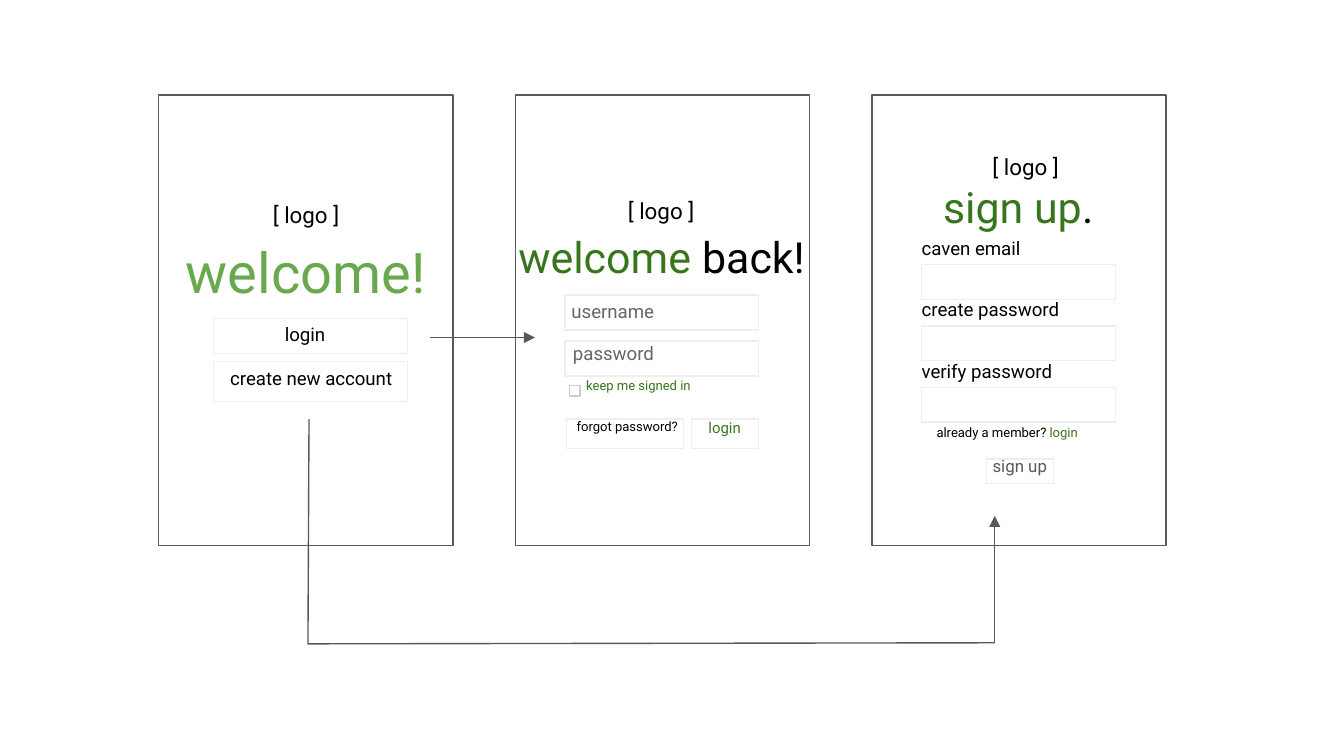
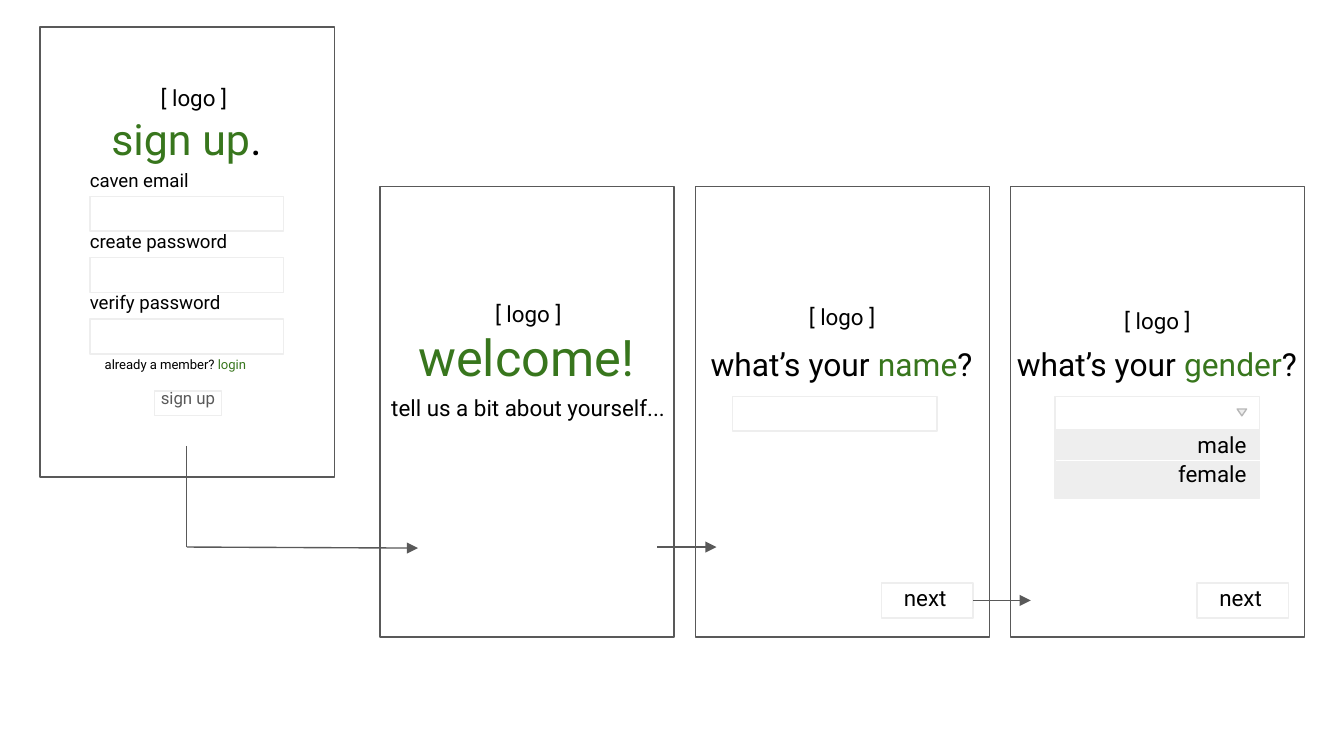
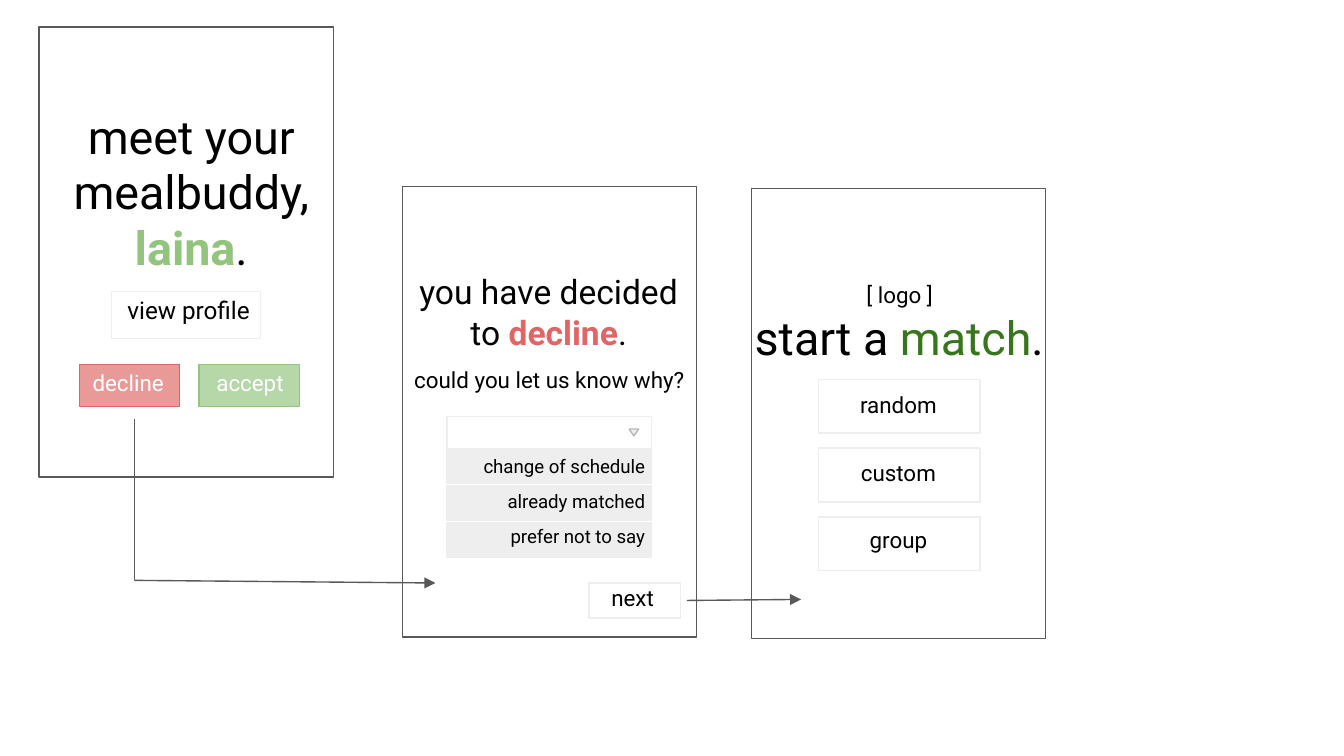
from dataclasses import dataclass

from lxml import etree
from pptx import Presentation
from pptx.dml.color import RGBColor
from pptx.enum.shapes import MSO_CONNECTOR, MSO_SHAPE
from pptx.enum.text import MSO_ANCHOR, MSO_AUTO_SIZE, PP_ALIGN
from pptx.oxml.ns import qn
from pptx.util import Cm, Pt

RECTANGLE = MSO_SHAPE.RECTANGLE
TRIANGLE = MSO_SHAPE.ISOSCELES_TRIANGLE
STRAIGHT = MSO_CONNECTOR.STRAIGHT
LEFT, CENTER, RIGHT = PP_ALIGN.LEFT, PP_ALIGN.CENTER, PP_ALIGN.RIGHT
TOP = MSO_ANCHOR.TOP
GROW = MSO_AUTO_SIZE.SHAPE_TO_FIT_TEXT

FONT = "Roboto"
BLACK, WHITE = "000000", "FFFFFF"
DARK_GRAY, GRAY, PALE = "595959", "666666", "EEEEEE"
CHECK_GRAY, MARK_GRAY = "CCCCCC", "B7B7B7"
GREEN, LEAF, SOFT_GREEN, PALE_GREEN = "38761D", "6AA84F", "93C47D", "B6D7A8"
RED, PALE_RED = "E06666", "EA9999"

SCREEN_WIDTH, SCREEN_HEIGHT = 5.56, 8.51
FIELD_WIDTH, FIELD_HEIGHT = 3.66, 0.66
MENU_LEFT, MENU_WIDTH = 0.84, 3.86
LINE_WIDTH = Pt(0.75)


def color(code):
    return RGBColor.from_string(code)


@dataclass
class Screen:
    page: object
    left: float
    top: float

    def box(self, left, top, width, height, fill=WHITE, line=PALE, kind=RECTANGLE):
        shape = self.page.shapes.add_shape(
            kind, Cm(self.left + left), Cm(self.top + top), Cm(width), Cm(height))
        shape.shadow.inherit = False
        if fill:
            shape.fill.solid()
            shape.fill.fore_color.rgb = color(fill)
        else:
            shape.fill.background()
        shape.line.color.rgb = color(line)
        shape.line.width = LINE_WIDTH
        return shape

    def text(self, left, top, width, height, size, *lines, ink=BLACK, align=CENTER):
        label = self.page.shapes.add_textbox(
            Cm(self.left + left), Cm(self.top + top), Cm(width), Cm(height))
        frame = label.text_frame
        frame.word_wrap = True
        frame.auto_size = GROW
        frame.vertical_anchor = TOP
        frame.margin_left = frame.margin_right = Cm(0.25)
        frame.margin_top = frame.margin_bottom = Cm(0.25)
        for index, line in enumerate(lines):
            para = frame.add_paragraph() if index else frame.paragraphs[0]
            para.alignment = align
            para.font.name = FONT
            para.font.size = Pt(size)
            if isinstance(line, str):
                para.font.color.rgb = color(ink)
                para.add_run().text = line
                continue
            for words, tint, bold in line:
                span = para.add_run()
                span.text = words
                span.font.color.rgb = color(tint)
                span.font.bold = bold

    def logo(self, left, top):
        self.text(left, top, 2.21, 1.02, 12, "[ logo ]")


def plain(words, tint=BLACK):
    return words, tint, False


def strong(words, tint):
    return words, tint, True


def add_screen(page, left, top):
    screen = Screen(page, left, top)
    screen.box(0, 0, SCREEN_WIDTH, SCREEN_HEIGHT, line=DARK_GRAY)
    return screen


def add_line(page, start, end, arrow=False, ink=DARK_GRAY):
    connector = page.shapes.add_connector(STRAIGHT, *map(Cm, start + end))
    connector.line.color.rgb = color(ink)
    connector.line.width = LINE_WIDTH
    properties = connector._element.spPr
    if arrow:
        outline = properties.find(qn("a:ln"))
        etree.SubElement(outline, qn("a:tailEnd"), type="triangle")
    etree.SubElement(properties, qn("a:effectLst"))
    return connector


def add_route(page, *points):
    last = len(points) - 2
    for index, (start, end) in enumerate(zip(points, points[1:])):
        add_line(page, start, end, arrow=index == last)


def next_button(screen):
    button = screen.box(3.52, 7.49, 1.73, FIELD_HEIGHT)
    screen.text(2.99, 7.26, 2.01, 1.02, 12, "next", align=RIGHT)
    return button


def dropdown(screen, top, options, size, row_start, row_step, text_start, text_step,
             text_right):
    screen.box(MENU_LEFT, top, MENU_WIDTH, FIELD_HEIGHT)
    screen.box(4.28, top + 0.24, 0.18, 0.13, PALE, MARK_GRAY, TRIANGLE).rotation = 180
    for index in range(len(options)):
        screen.box(MENU_LEFT, top + row_start + index * row_step,
                   MENU_WIDTH, FIELD_HEIGHT, fill=PALE)
    for index, option in enumerate(options):
        screen.text(text_right - 4.01, top + text_start + index * text_step,
                    4.01, 0.94, size, option, align=RIGHT)


def welcome_screen(page, left, top):
    screen = add_screen(page, left, top)
    screen.logo(1.68, 1.75)
    screen.text(0.2, 2.44, 5.16, 1.8, 30, "welcome!", ink=LEAF)
    screen.box(1.04, 4.22, FIELD_WIDTH, FIELD_HEIGHT)
    screen.box(1.04, 5.03, FIELD_WIDTH, 0.76)
    screen.text(0.3, 4.93, 5.16, 0.94, 10, "create new account")
    screen.text(2.03, 4.09, 1.47, 0.94, 10, "login")


def login_screen(page, left, top):
    screen = add_screen(page, left, top)
    screen.logo(1.65, 1.68)
    screen.text(-0.36, 2.31, 6.25, 1.5, 23, [plain("welcome", GREEN), plain(" back!")])
    for field_top in (3.78, 4.65):
        screen.box(0.94, field_top, FIELD_WIDTH, FIELD_HEIGHT)
    screen.text(0.81, 3.66, 2.92, 0.94, 10, "username", ink=GRAY, align=LEFT)
    screen.text(0.84, 4.45, 2.92, 0.94, 10, "password", ink=GRAY, align=LEFT)
    screen.box(1.02, 5.49, 0.2, 0.2, line=CHECK_GRAY)
    screen.text(1.09, 5.18, 2.79, 0.81, 7, "keep me signed in", ink=GREEN, align=LEFT)
    screen.box(3.33, 6.12, 1.27, 0.56)
    screen.box(0.97, 6.12, 2.21, 0.56)
    screen.text(0.91, 5.97, 2.92, 0.81, 7, "forgot password?", align=LEFT)
    screen.text(3.4, 5.94, 1.37, 0.86, 8, "login", ink=GREEN, align=LEFT)


def sign_up_screen(page, left, top):
    screen = add_screen(page, left, top)
    screen.logo(1.8, 0.84)
    screen.text(-0.36, 1.37, 6.25, 1.5, 23, [plain("sign up", GREEN), plain(".")])
    for index, name in enumerate(("caven email", "create password", "verify password")):
        offset = index * 1.16
        screen.box(0.94, 3.2 + offset, FIELD_WIDTH, FIELD_HEIGHT)
        screen.text(0.69, 2.46 + offset, 3.33, 0.94, 10, name, align=LEFT)
    screen.box(2.16, 6.88, 1.27, 0.46)
    screen.text(2.03, 6.63, 2.21, 0.89, 9, "sign up", ink=DARK_GRAY, align=LEFT)
    screen.text(0.97, 6.07, 3.66, 0.81, 7,
                [plain("already a member? "), plain("login", GREEN)], align=LEFT)


def about_screen(page, left, top):
    screen = add_screen(page, left, top)
    screen.logo(1.7, 1.9)
    screen.text(-0.36, 2.39, 6.25, 1.68, 27, "welcome!", ink=GREEN)
    screen.text(-0.66, 3.68, 6.93, 1.02, 12, "tell us a bit about yourself...")


def question_screen(page, left, top, topic, logo_top):
    screen = add_screen(page, left, top)
    screen.logo(1.67, logo_top)
    screen.text(-1.03, 2.73, 7.59, 1.24, 17,
                [plain("what’s your "), plain(topic, GREEN), plain("?")])
    return screen


def name_screen(page, left, top):
    screen = question_screen(page, left, top, "name", 1.96)
    screen.box(0.71, 3.96, MENU_WIDTH, FIELD_HEIGHT)
    return next_button(screen)


def gender_screen(page, left, top):
    screen = question_screen(page, left, top, "gender", 2.03)
    dropdown(screen, 3.96, ("male", "female"), 12, 0.64, 0.63, 0.41, 0.54, 4.71)
    divider = top + 5.18
    add_line(page, (left + 0.86, divider), (left + 4.72, divider), ink=WHITE)
    next_button(screen)


def meet_screen(page, left, top):
    screen = add_screen(page, left, top)
    screen.text(-0.25, 1.27, 6.25, 3.71, 25, "meet your mealbuddy,",
                [strong("laina", SOFT_GREEN), plain(".")])
    screen.text(1.42, 4.83, 2.9, 1.07, 13, "view profile", align=LEFT)
    screen.box(1.37, 5, 2.82, 0.89, fill=None, line="EFEFEF")
    for answer, box_left, text_left, fill, line in (
            ("accept", 3.02, 3.1, PALE_GREEN, SOFT_GREEN),
            ("decline", 0.76, 0.76, PALE_RED, RED)):
        screen.box(box_left, 6.38, 1.9, 0.79, fill, line)
        screen.text(text_left, 6.22, 2.9, 1.02, 12, answer, ink=WHITE, align=LEFT)


def decline_screen(page, left, top):
    screen = add_screen(page, left, top)
    screen.text(-0.25, 1.35, 6.02, 2.06, 18,
                [plain("you have decided to "), strong("decline", RED), plain(".")])
    screen.text(-0.69, 3.15, 6.93, 1.02, 12, "could you let us know why?")
    reasons = ("change of schedule", "already matched", "prefer not to say")
    dropdown(screen, 4.34, reasons, 10, 0.61, 0.7, 0.51, 0.66, 4.83)
    next_button(screen)


def match_screen(page, left, top):
    screen = add_screen(page, left, top)
    screen.logo(1.7, 1.5)
    screen.text(-0.33, 2.03, 6.25, 1.57, 25,
                [plain("start a"), plain(" match", GREEN), plain(".")])
    for index, choice in enumerate(("random", "custom", "group")):
        screen.box(1.27, 3.61 + index * 1.3, 3.05, 1.02)
        screen.text(1.32, 3.58 + index * 1.28, 2.92, 1.02, 12, choice)


def entry_slide(page):
    for index, draw in enumerate((welcome_screen, login_screen, sign_up_screen)):
        draw(page, 3 + index * 6.74, 1.8)
    add_route(page, (8.13, 6.38), (10.11, 6.38))
    add_route(page, (5.84, 7.92), (5.82, 12.17), (18.8, 12.15), (18.8, 9.75))


def profile_slide(page):
    sign_up_screen(page, 0.76, 0.51)
    first, step, top = 7.18, 5.96, 3.53
    about_screen(page, first, top)
    button = name_screen(page, first + step, top)
    gender_screen(page, first + 2 * step, top)
    add_route(page, (3.53, 8.43), (3.53, 10.34), (7.9, 10.36))
    add_route(page, (12.42, 10.34), (13.54, 10.34))
    add_line(page, (18.39, 11.35), (19.48, 11.35), arrow=True).begin_connect(button, 3)


def match_slide(page):
    decline_screen(page, 7.61, 3.53)
    meet_screen(page, 0.74, 0.51)
    match_screen(page, 14.2, 3.56)
    add_route(page, (2.54, 7.92), (2.54, 10.97), (8.23, 11.02))
    add_route(page, (12.98, 11.35), (15.14, 11.33))


def main():
    deck = Presentation()
    deck.slide_width, deck.slide_height = Cm(25.4), Cm(14.29)
    blank = deck.slide_layouts[6]
    for build in (entry_slide, profile_slide, match_slide):
        build(deck.slides.add_slide(blank))
    deck.save("out.pptx")


if __name__ == "__main__":
    main()
